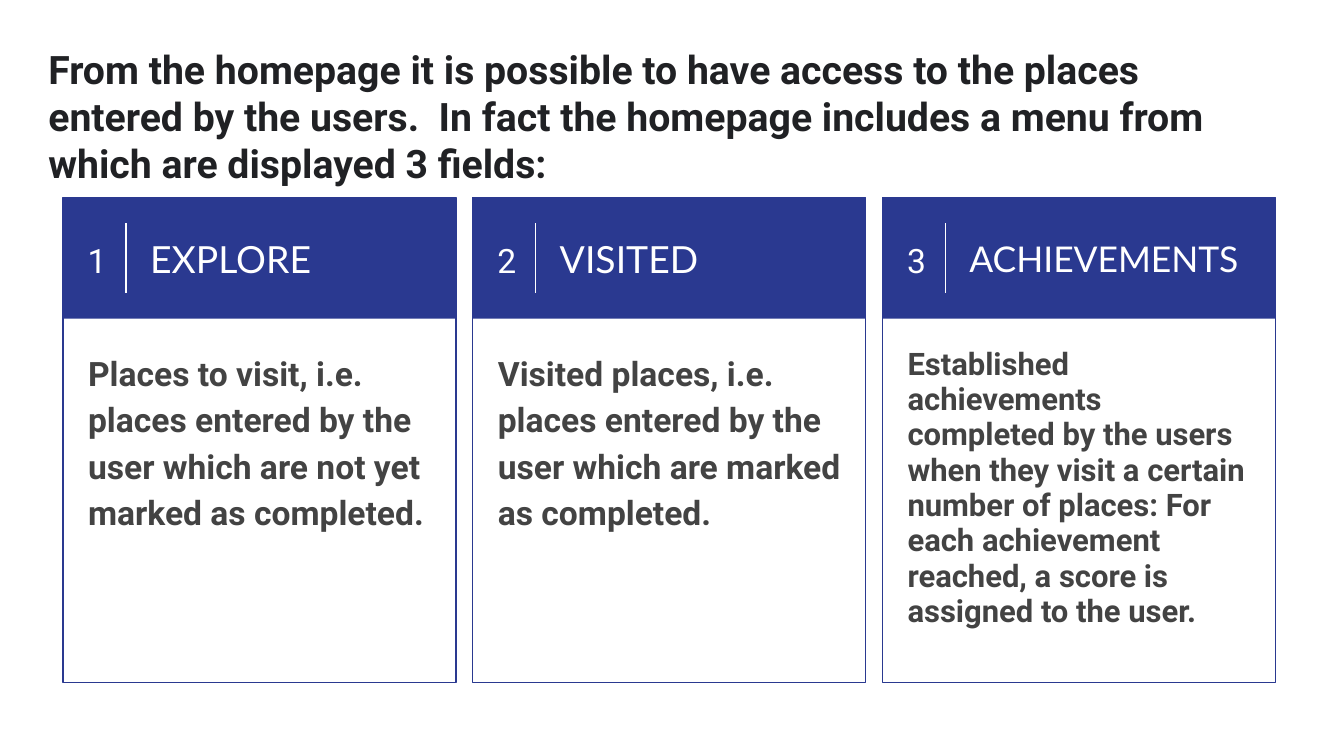
from lxml import etree
from pptx import Presentation
from pptx.dml.color import RGBColor
from pptx.enum import shapes, text
from pptx.oxml import ns
from pptx.util import Pt

COLORS = {"blue": "2A3990", "white": "FFFFFF", "ink": "202124", "gray": "434343"}
FIELDS = [
    ("EXPLORE", 20, "Places to visit, i.e. places entered by the user which are "
     "not yet marked as completed.", 18, 1.15),
    ("VISITED", 20, "Visited places, i.e. places entered by the user which are "
     "marked as completed.", 18, 1.15),
    ("ACHIEVEMENTS", 19, "Established achievements completed by the users when they "
     "visit a certain number of places: For each achievement reached, a score is "
     "assigned to the user.", 16.6, 0.95),
]
LEFT, PITCH, WIDTH = 33.8, 219.5, 210.5
TOP, HEADER, HEIGHT = 105.8, 65, 260


def color(name):
    return RGBColor.from_string(COLORS[name])


def write(box, place, words, size, ink, font="Roboto", bold=False,
          anchor=text.MSO_ANCHOR.MIDDLE, align=text.PP_ALIGN.LEFT, spacing=None):
    box.left, box.top, box.width, box.height = [Pt(value) for value in place]
    frame = box.text_frame
    frame.text = words
    frame.word_wrap = True
    frame.auto_size = text.MSO_AUTO_SIZE.NONE
    frame.vertical_anchor = anchor
    frame.margin_left = frame.margin_right = Pt(7.2)
    frame.margin_top = frame.margin_bottom = Pt(7.2)
    para = frame.paragraphs[0]
    para.alignment = align
    para.space_before = Pt(0)
    if spacing:
        para.line_spacing = spacing
    if box.is_placeholder:
        properties = para._p.get_or_add_pPr()
        properties.set("marL", "0")
        properties.set("indent", "0")
        etree.SubElement(properties, ns.qn("a:buNone"))
    para.font.name = font
    para.font.size = Pt(size)
    para.font.bold = bold
    para.font.color.rgb = color(ink)
    return para


deck = Presentation()
deck.slide_width, deck.slide_height = Pt(720), Pt(405)
page = deck.slides.add_slide(deck.slide_layouts.get_by_name("Comparison"))

# Title
write(page.shapes.title, (18.7, 17.3, 658.8, 54),
      "From the homepage it is possible to have access to the places entered by "
      "the users.  In fact the homepage includes a menu from which are displayed "
      "3 fields:", 21, "ink", bold=True, anchor=text.MSO_ANCHOR.TOP)

# The comparison layout has four bodies; three are needed
*bodies, spare = list(page.placeholders)[1:]
spare.element.getparent().remove(spare.element)

for index, (name, name_size, words, size, spacing) in enumerate(FIELDS):
    left = LEFT + index * PITCH

    # Card outline and header band
    card = page.shapes.add_shape(shapes.MSO_SHAPE.RECTANGLE, Pt(left), Pt(TOP),
                                 Pt(WIDTH), Pt(HEIGHT))
    card.shadow.inherit = False
    card.fill.background()
    card.line.color.rgb = color("blue")
    card.line.width = Pt(0.75)
    band = page.shapes.add_shape(shapes.MSO_SHAPE.RECTANGLE, Pt(left), Pt(TOP),
                                 Pt(WIDTH), Pt(HEADER))
    band.shadow.inherit = False
    band.fill.solid()
    band.fill.fore_color.rgb = color("blue")
    band.line.fill.background()

    # Number, divider and field name
    number = page.shapes.add_textbox(0, 0, 0, 0)
    write(number, (left + 4.5, TOP - 0.5, 27.4, HEADER), str(index + 1), 18, "white",
          align=text.PP_ALIGN.CENTER, spacing=1.15)
    divider = page.shapes.add_connector(
        shapes.MSO_CONNECTOR.STRAIGHT, Pt(left + 33.7), Pt(119.5),
        Pt(left + 33.7), Pt(157))
    divider.line.color.rgb = color("white")
    divider.line.width = Pt(0.75)
    etree.SubElement(divider.element.spPr, ns.qn("a:effectLst"))
    heading = page.shapes.add_textbox(0, 0, 0, 0)
    write(heading, (left + 39.5, TOP, 165.6, HEADER), name, name_size, "white",
          font="Lato")

    # Description
    para = write(bodies[index], (left + 6.2, 178.6, 199.4, 187.2), words, size, "gray",
                 bold=True, anchor=text.MSO_ANCHOR.TOP, spacing=spacing)
    para.space_after = Pt(12)

deck.save("out.pptx")
